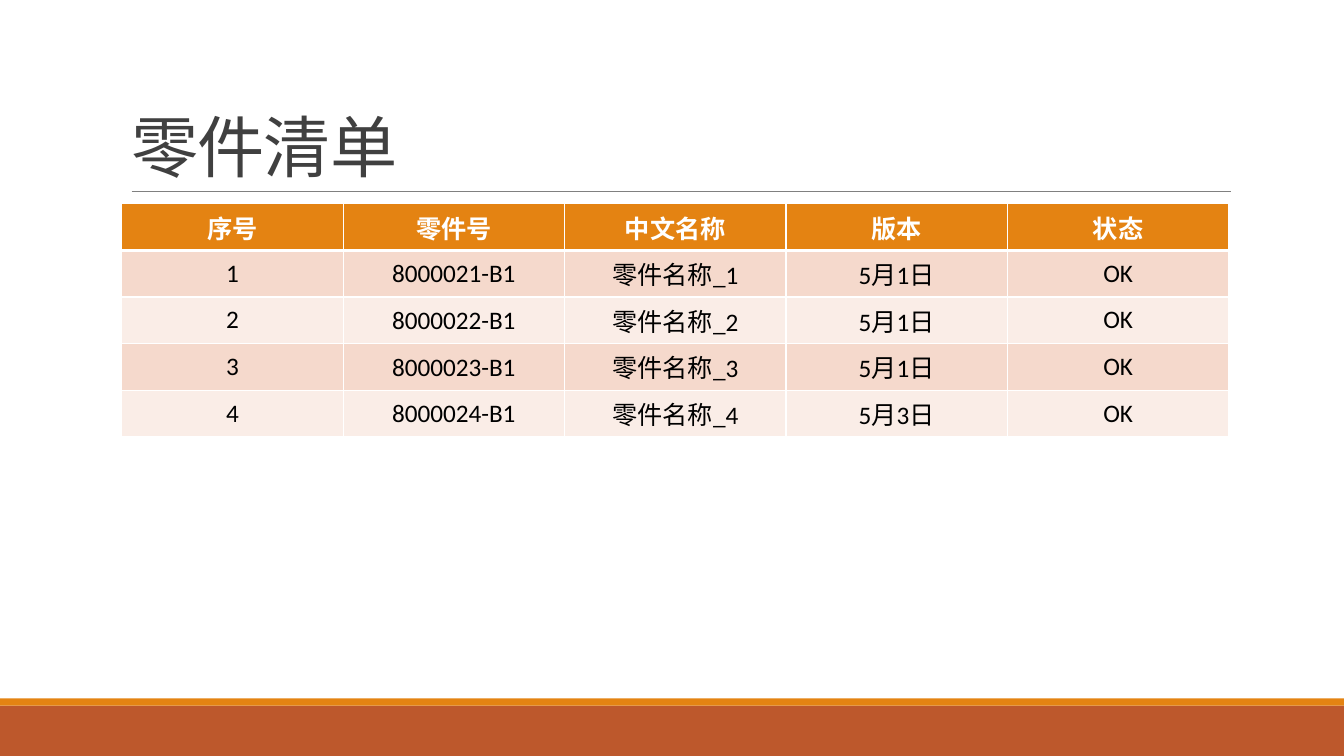
"""Build the parts list slide: a title, a table of parts and a footer band."""
from lxml.etree import SubElement
from pptx import Presentation
from pptx.dml.color import RGBColor
from pptx.enum.shapes import MSO_CONNECTOR, MSO_SHAPE
from pptx.enum.text import MSO_ANCHOR, MSO_AUTO_SIZE, PP_ALIGN
from pptx.oxml.ns import qn
from pptx.util import Pt

THEME = {
    "font": "Calibri", "title_size": 48, "table_size": 18,
    "title": "404040", "rule": "808080", "rust": "BD582C", "orange": "E48312",
    "band_dark": "F5D9CC", "band_light": "FAEDE7", "white": "FFFFFF", "black": "000000",
}


def color(name):
    return RGBColor.from_string(THEME[name])


def add_border(cell, side, width):
    ln = SubElement(cell._tc.get_or_add_tcPr(), qn(f"a:{side}"), w=str(Pt(width)))
    fill = SubElement(ln, qn("a:solidFill"))
    SubElement(fill, qn("a:srgbClr"), val=THEME["white"])


prs = Presentation()
prs.slide_width, prs.slide_height = Pt(960), Pt(540)
s = prs.slides.add_slide(prs.slide_layouts[5])

for name, top, height in [("rust", 504, 36), ("orange", 498.75, 5.25)]:
    sp = s.shapes.add_shape(MSO_SHAPE.RECTANGLE, 0, Pt(top), prs.slide_width, Pt(height))
    sp.shadow.inherit = False
    sp.fill.solid()
    sp.fill.fore_color.rgb = color(name)
    sp.line.fill.background()

rule = s.shapes.add_connector(MSO_CONNECTOR.STRAIGHT, Pt(94), Pt(136.8), Pt(879), Pt(136.8))
rule.line.color.rgb = color("rule")
rule.line.width = Pt(0.5)
SubElement(rule._element.spPr, qn("a:effectLst"))

title = s.shapes.title
title.left, title.top, title.width, title.height = Pt(86.4), Pt(22.5), Pt(792), Pt(114.2)
tf = title.text_frame
tf.text = "零件清单"
tf.auto_size = MSO_AUTO_SIZE.NONE
tf.vertical_anchor = MSO_ANCHOR.BOTTOM
p = tf.paragraphs[0]
p.alignment = PP_ALIGN.LEFT
p.line_spacing = 0.85
r = p.runs[0]
r.font.name = THEME["font"]
r.font.size = Pt(THEME["title_size"])
r.font.color.rgb = color("title")
r._r.get_or_add_rPr().set("spc", "-50")

rows = [["序号", "零件号", "中文名称", "版本", "状态"]]
for number, date in enumerate(["5月1日", "5月1日", "5月1日", "5月3日"], 1):
    rows.append([str(number), f"800002{number}-B1", f"零件名称_{number}", date, "OK"])

table = s.shapes.add_table(len(rows), len(rows[0]), Pt(86.9), Pt(145.6), Pt(791), Pt(146)).table
for i, row in enumerate(rows):
    header = i == 0
    fill = "orange" if header else "band_dark" if i % 2 else "band_light"
    for j, text in enumerate(row):
        cell = table.cell(i, j)
        for side in ("lnL", "lnR", "lnT", "lnB"):
            heavy = (i, side) in [(0, "lnB"), (1, "lnT")]
            add_border(cell, side, 3 if heavy else 1)
        cell.fill.solid()
        cell.fill.fore_color.rgb = color(fill)
        cell.vertical_anchor = MSO_ANCHOR.MIDDLE
        if j == 1 and not header:
            cell.margin_left = cell.margin_right = cell.margin_top = Pt(0.75)
            cell.margin_bottom = 0
        cell.text_frame.text = text
        p = cell.text_frame.paragraphs[0]
        p.alignment = PP_ALIGN.CENTER
        r = p.runs[0]
        r.font.name = THEME["font"]
        r.font.size = Pt(THEME["table_size"])
        r.font.bold = header
        r.font.color.rgb = color("white" if header else "black")

prs.save("out.pptx")
